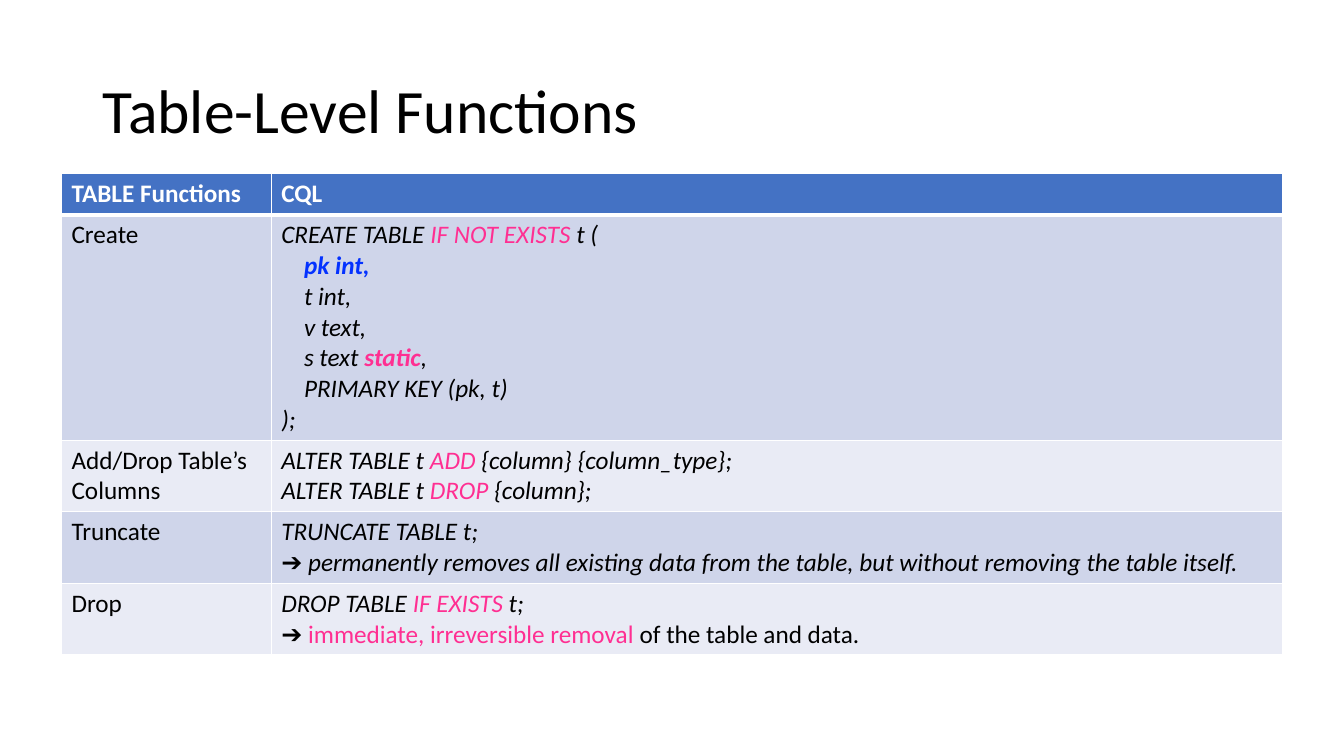
import pptx
import pptx.dml.color
import pptx.enum.text
import pptx.oxml
import pptx.oxml.ns
import pptx.util
from pptx.util import Inches

# Content: every cell is a list of paragraphs, every paragraph a list of (text, style)
TITLE = "Table-Level Functions"
HEADINGS = ["TABLE Functions", "CQL"]
FUNCTIONS = [
    ("Create", [[
        ("CREATE TABLE ", "code"), ("IF NOT EXISTS ", "accent"), ("t (\n    ", "code"),
        ("pk int,", "key"), ("\n    t int,\n    v text,\n    s text ", "code"),
        ("static", "strong"), (",\n    PRIMARY KEY (pk, t)\n);", "code")]]),
    ("Add/Drop Table’s Columns", [[
        ("ALTER TABLE t ", "code"), ("ADD", "accent"),
        (" {column} {column_type};\nALTER TABLE t ", "code"),
        ("DROP", "accent"), (" {column};", "code")]]),
    ("Truncate", [[
        ("TRUNCATE TABLE t;\n➔ permanently removes all existing data from the table, "
         "but without removing the table itself.", "code")]]),
    ("Drop", [
        [("DROP TABLE ", "code"), ("IF EXISTS", "accent"), (" t;", "code")],
        [("➔ ", "code"), ("immediate, irreversible removal ", "warning"),
         ("of the table and data.", "plain")]]),
]

# Format
BLACK, WHITE, PINK, BLUE = "000000", "FFFFFF", "FF2F92", "0432FF"
HEADER_FILL, BAND_FILLS = "4472C4", ["CFD5EA", "E9EBF5"]
STYLES = {
    "heading": dict(color=WHITE, bold=True),
    "plain": dict(),
    "code": dict(italic=True),
    "accent": dict(color=PINK, italic=True),
    "strong": dict(color=PINK, italic=True, bold=True),
    "key": dict(color=BLUE, italic=True, bold=True),
    "warning": dict(color=PINK),
}
COLUMN_WIDTHS = [2.08, 10.03]
ROW_HEIGHTS = [0.41, 2.23, 0.71, 0.71, 0.71]


def rgb(value):
    return pptx.dml.color.RGBColor.from_string(value)


def add_text(paragraph, text, size=18, color=BLACK, bold=False, italic=False):
    for index, line in enumerate(text.split("\n")):
        if index:
            paragraph.add_line_break()
        if line:
            run = paragraph.add_run()
            run.text = line
            run.font.name = "Calibri"
            run.font.size = pptx.util.Pt(size)
            run.font.bold = bold
            run.font.italic = italic
            run.font.color.rgb = rgb(color)


def set_borders(cell, bottom):
    properties = cell._tc.get_or_add_tcPr()
    widths = {"lnL": 1, "lnR": 1, "lnT": 1, "lnB": bottom}
    for position, (side, width) in enumerate(widths.items()):
        properties.insert(position, pptx.oxml.parse_xml(
            f'<a:{side} {pptx.oxml.ns.nsdecls("a")} w="{pptx.util.Pt(width)}">'
            f'<a:solidFill><a:srgbClr val="{WHITE}"/></a:solidFill></a:{side}>'))


def fill_cell(cell, paragraphs, fill, bottom=1):
    cell.fill.solid()
    cell.fill.fore_color.rgb = rgb(fill)
    set_borders(cell, bottom)
    frame = cell.text_frame
    for index, pieces in enumerate(paragraphs):
        paragraph = frame.add_paragraph() if index else frame.paragraphs[0]
        for text, style in pieces:
            add_text(paragraph, text, **STYLES[style])


def main():
    deck = pptx.Presentation()
    deck.slide_width, deck.slide_height = Inches(13.33), Inches(7.5)
    slide = deck.slides.add_slide(deck.slide_layouts[5])

    # Title
    title = slide.shapes.title
    title.left, title.top = Inches(0.92), Inches(0.4)
    title.width, title.height = Inches(11.5), Inches(1.45)
    title.text_frame.auto_size = pptx.enum.text.MSO_AUTO_SIZE.NONE
    title.text_frame.vertical_anchor = pptx.enum.text.MSO_ANCHOR.MIDDLE
    heading = title.text_frame.paragraphs[0]
    heading.alignment = pptx.enum.text.PP_ALIGN.LEFT
    heading.line_spacing = 0.9
    add_text(heading, TITLE, size=44)

    # Table grid
    table = slide.shapes.add_table(
        len(ROW_HEIGHTS), len(COLUMN_WIDTHS), Inches(0.61), Inches(1.72),
        Inches(sum(COLUMN_WIDTHS)), Inches(sum(ROW_HEIGHTS))).table
    for column, width in zip(table.columns, COLUMN_WIDTHS):
        column.width = Inches(width)
    for row, height in zip(table.rows, ROW_HEIGHTS):
        row.height = Inches(height)

    # Header row, then banded function rows
    for column, text in enumerate(HEADINGS):
        fill_cell(table.cell(0, column), [[(text, "heading")]], HEADER_FILL, bottom=3)
    for index, (name, statements) in enumerate(FUNCTIONS):
        band = BAND_FILLS[index % 2]
        fill_cell(table.cell(index + 1, 0), [[(name, "plain")]], band)
        fill_cell(table.cell(index + 1, 1), statements, band)
    for column in range(len(HEADINGS)):
        top_border = table.cell(1, column)._tc.tcPr.find(pptx.oxml.ns.qn("a:lnT"))
        top_border.set("w", str(pptx.util.Pt(3)))

    deck.save("out.pptx")


if __name__ == "__main__":
    main()
